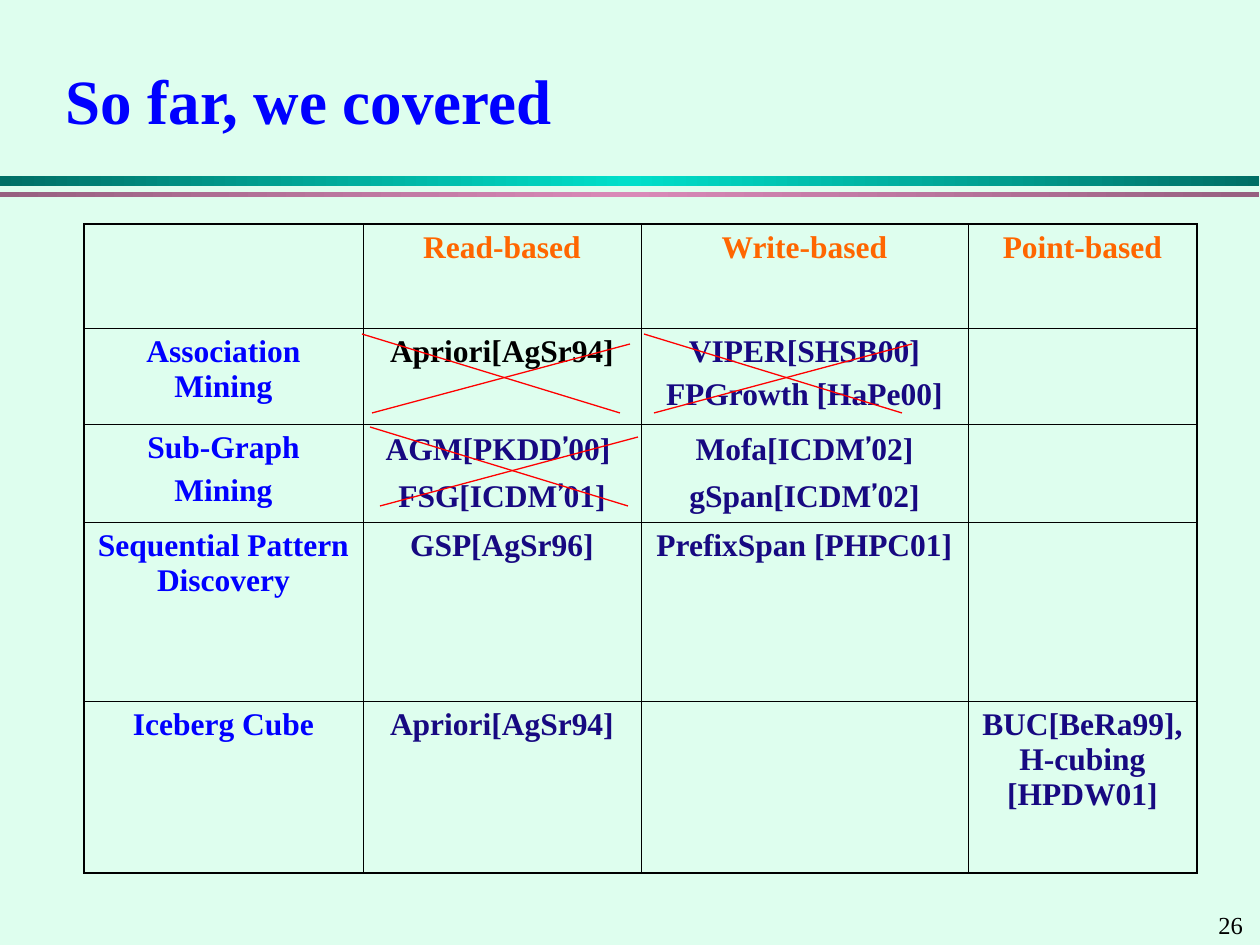
from lxml.etree import SubElement
from pptx import Presentation
from pptx.dml.color import RGBColor
from pptx.enum.shapes import MSO_CONNECTOR, MSO_SHAPE
from pptx.enum.text import MSO_ANCHOR, PP_ALIGN
from pptx.oxml.ns import qn
from pptx.util import Pt

EMU_PER_PX = 914400 / 126
SERIF, APOSTROPHE_FONT = "Times New Roman", "Cabin"
MINT = RGBColor(0xDE, 0xFE, 0xEE)
BLUE = RGBColor(0x00, 0x00, 0xFF)
NAVY = RGBColor(0x17, 0x09, 0x81)
ORANGE = RGBColor(0xFF, 0x66, 0x00)
BLACK = RGBColor(0x00, 0x00, 0x00)
RED = RGBColor(0xFF, 0x00, 0x00)
DARK_TEAL = RGBColor(0x00, 0x6F, 0x65)
TEAL = RGBColor(0x00, 0xDF, 0xCA)
DARK_PINK = RGBColor(0x97, 0x60, 0x80)
PINK = RGBColor(0xD9, 0x89, 0xB8)

COLUMN_WIDTHS = [279, 278, 327, 229]
ROW_HEIGHTS = [104, 96, 98, 179, 172]
METHODS = [
    ["", "Read-based", "Write-based", "Point-based"],
    ["Association Mining", "Apriori[AgSr94]", "VIPER[SHSB00]\nFPGrowth [HaPe00]", ""],
    ["Sub-Graph\nMining", "AGM[PKDD’00] \nFSG[ICDM’01]", "Mofa[ICDM’02]\ngSpan[ICDM’02]", ""],
    ["Sequential Pattern Discovery", "GSP[AgSr96]", "PrefixSpan [PHPC01]", ""],
    ["Iceberg Cube", "Apriori[AgSr94]", "", "BUC[BeRa99], H-cubing [HPDW01]"],
]
CROSS_CORNERS = [(362, 334), (370, 427), (644, 334)]


def px(length):
    return round(length * EMU_PER_PX)


def format_run(run, size, color, bold, name=SERIF):
    run.font.name = name
    run.font.size = Pt(size)
    run.font.bold = bold
    run.font.color.rgb = color


def add_label(slide, box, text, size, color, bold=False):
    shape = slide.shapes.add_textbox(*map(px, box))
    text_frame = shape.text_frame
    text_frame.word_wrap = True
    text_frame.vertical_anchor = MSO_ANCHOR.MIDDLE
    text_frame.text = text
    format_run(text_frame.paragraphs[0].runs[0], size, color, bold)


def add_band(slide, box, edge, middle):
    shape = slide.shapes.add_shape(MSO_SHAPE.RECTANGLE, *map(px, box))
    shape.shadow.inherit = False
    shape.line.fill.background()
    shape.fill.gradient()
    shape.fill.gradient_angle = 0
    stops = shape.fill._fill._gradFill.find(qn("a:gsLst"))
    for stop in list(stops):
        stops.remove(stop)
    for position, color in [(0, edge), (50, middle), (100, edge)]:
        stop = SubElement(stops, qn("a:gs"), pos=str(position * 1000))
        SubElement(stop, qn("a:srgbClr"), val=str(color))


def set_borders(cell, outer_sides):
    properties = cell._tc.get_or_add_tcPr()
    for index, side in enumerate(["L", "R", "T", "B"]):
        width = Pt(1.08 if side in outer_sides else 0.45)
        line = SubElement(properties, qn(f"a:ln{side}"), w=str(width))
        properties.remove(line)
        properties.insert(index, line)
        fill = SubElement(line, qn("a:solidFill"))
        SubElement(fill, qn("a:srgbClr"), val=str(BLACK))


def fill_cell(cell, text, color):
    cell.fill.background()
    if not text:
        return
    cell.text_frame.text = text
    for index, paragraph in enumerate(cell.text_frame.paragraphs):
        paragraph.alignment = PP_ALIGN.CENTER
        if index:
            paragraph.space_before = Pt(4.5)
        # The apostrophe has its own font
        before, apostrophe, after = paragraph.text.partition("’")
        paragraph.text = before
        format_run(paragraph.runs[0], 18, color, True)
        for part, font in [(apostrophe, APOSTROPHE_FONT), (after, SERIF)]:
            if part:
                run = paragraph.add_run()
                run.text = part
                format_run(run, 18, color, True, font)


def cell_color(row, column):
    if row == 0:
        return ORANGE
    if column == 0:
        return BLUE
    return BLACK if (row, column) == (1, 1) else NAVY


def add_method_table(slide, left, top):
    last_row, last_column = len(ROW_HEIGHTS) - 1, len(COLUMN_WIDTHS) - 1
    frame = slide.shapes.add_table(
        last_row + 1, last_column + 1, px(left), px(top),
        px(sum(COLUMN_WIDTHS)), px(sum(ROW_HEIGHTS)))
    table = frame.table
    table.first_row = table.horz_banding = False
    for column, width in zip(table.columns, COLUMN_WIDTHS):
        column.width = px(width)
    for row, height in zip(table.rows, ROW_HEIGHTS):
        row.height = px(height)
    for row, texts in enumerate(METHODS):
        for column, text in enumerate(texts):
            cell = table.cell(row, column)
            fill_cell(cell, text, cell_color(row, column))
            edges = {"L": column == 0, "R": column == last_column,
                     "T": row == 0, "B": row == last_row}
            set_borders(cell, [side for side, outer in edges.items() if outer])


def add_cross(slide, left, top):
    for x1, y1, x2, y2 in [(10, 79, 268, 10), (258, 79, 0, 0)]:
        connector = slide.shapes.add_connector(
            MSO_CONNECTOR.STRAIGHT, px(left + x1), px(top + y1),
            px(left + x2), px(top + y2))
        connector.line.color.rgb = RED
        connector.line.width = Pt(0.75)
        SubElement(connector._element.spPr, qn("a:effectLst"))


def build_slide(presentation):
    slide = presentation.slides.add_slide(presentation.slide_layouts[6])
    slide.background.fill.solid()
    slide.background.fill.fore_color.rgb = MINT
    # Header bands, page number and title
    add_band(slide, (0, 176, 1259, 10), DARK_TEAL, TEAL)
    add_band(slide, (0, 192, 1259, 5), DARK_PINK, PINK)
    add_label(slide, (1206, 903, 54, 43), "26", 14, BLACK)
    add_label(slide, (53, 53, 1155, 92), "So far, we covered", 36, BLUE, bold=True)
    # Table with the crossed-out methods
    add_method_table(slide, 84, 224)
    for left, top in CROSS_CORNERS:
        add_cross(slide, left, top)


def main():
    presentation = Presentation()
    presentation.slide_width = px(1260)
    presentation.slide_height = px(945)
    build_slide(presentation)
    presentation.save("out.pptx")


if __name__ == "__main__":
    main()
